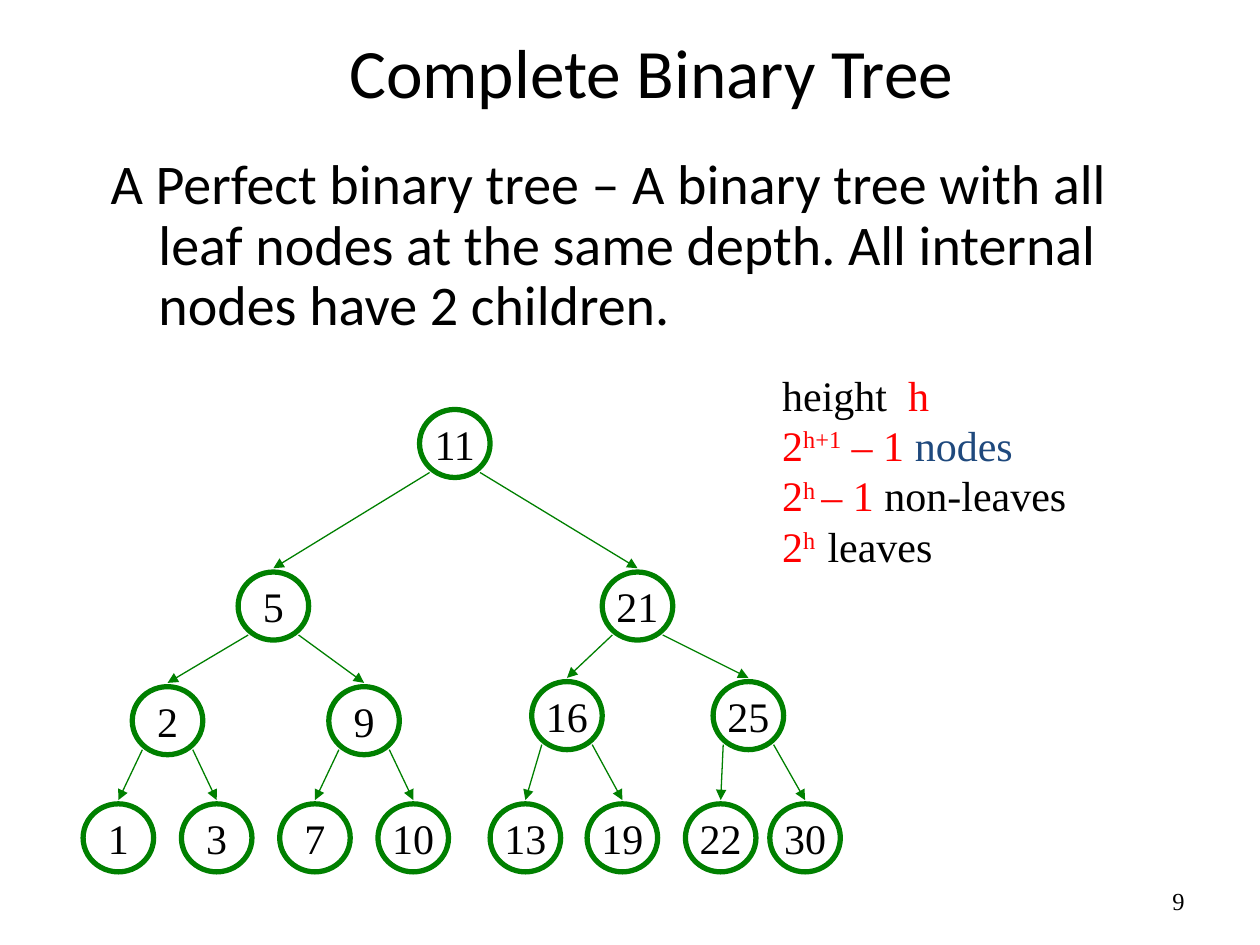
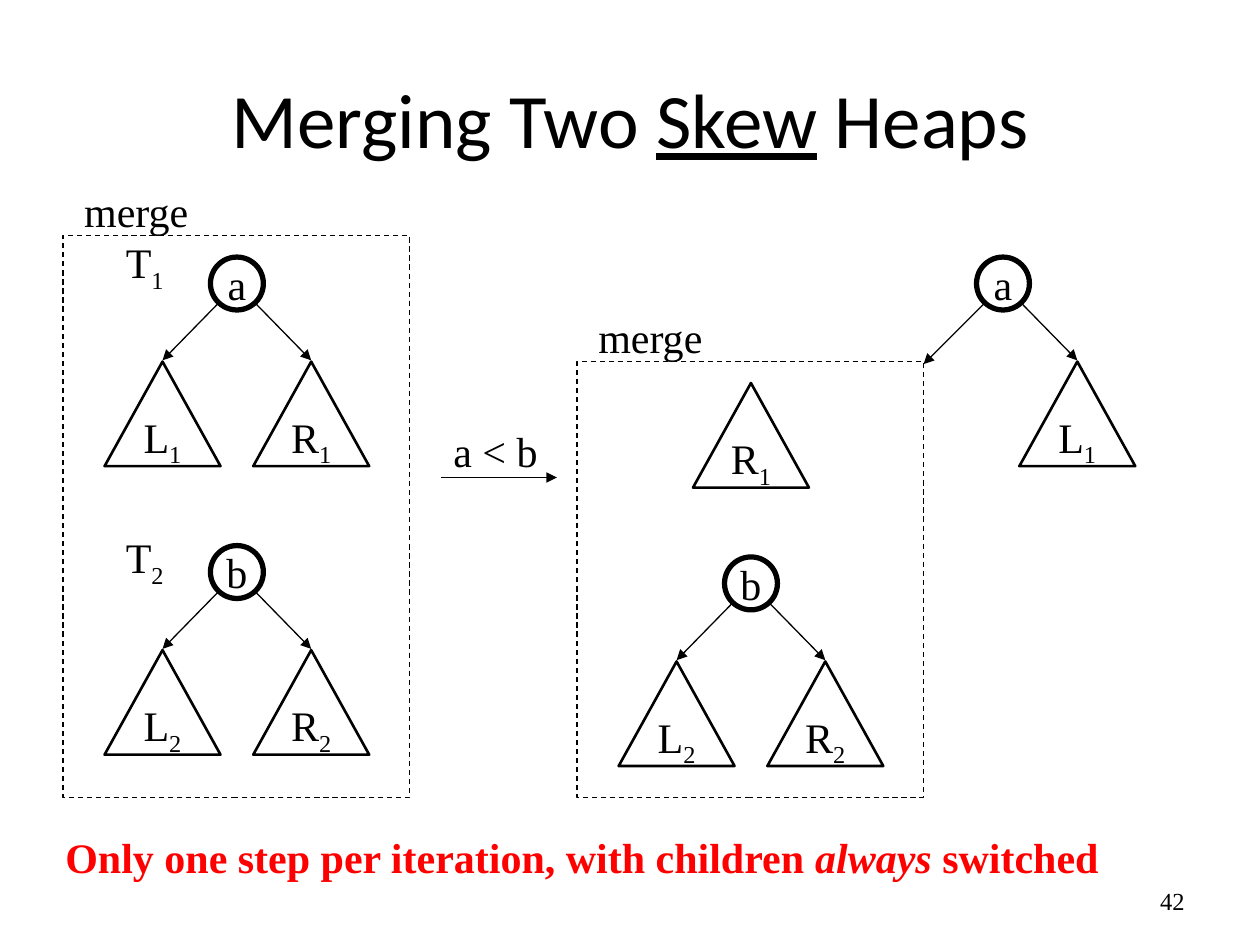
"""Build two slides on binary trees and the merging of skew heaps."""
import dataclasses

import lxml.etree
import pptx
import pptx.dml.color
import pptx.enum.dml
import pptx.enum.shapes
import pptx.enum.text
import pptx.oxml.ns
import pptx.util

Inches = pptx.util.Inches
Pt = pptx.util.Pt
RGB = pptx.dml.color.RGBColor
SHAPE = pptx.enum.shapes.MSO_SHAPE
ALIGN = pptx.enum.text.PP_ALIGN
ANCHOR = pptx.enum.text.MSO_ANCHOR


@dataclasses.dataclass(frozen=True)
class Theme:
    black: RGB = RGB(0, 0, 0)
    red: RGB = RGB(255, 0, 0)
    blue: RGB = RGB(0x1F, 0x49, 0x7D)
    green: RGB = RGB(0, 128, 0)
    sans: str = "Calibri"
    serif: str = "Times New Roman"
    page: float = 14
    label: float = 24
    body: float = 32
    thin: float = 0.75
    mid: float = 1.5
    thick: float = 3


T = Theme()
RED = {"color": T.red}
SUB = {"base": -25}
SUP = {"base": 30, "color": T.red}
BOLD = {"color": T.red, "bold": True}
CENTER = {"alignment": ALIGN.CENTER}

TREE_HEAD = [("Complete Binary Tree", {})]
RULE = [("A Perfect binary tree – A binary tree with all leaf nodes at the same depth. "
         "All internal nodes have 2 children.", {})]
FACTS = [
    [("height", {}), ("  h", RED)],
    [("2", RED), ("h+1", SUP), (" – 1 ", RED), ("nodes", {"color": T.blue})],
    [("2", RED), ("h ", SUP), ("– 1 ", RED), ("non-leaves", {})],
    [("2", RED), ("h  ", SUP), ("leaves", {})],
]
NODES = {
    11: (3.61, 3.25, (5, 21)),
    5: (2.17, 4.54, (2, 9)),
    21: (5.06, 4.54, (16, 25)),
    2: (1.33, 5.45, (1, 3)),
    9: (2.89, 5.45, (7, 10)),
    16: (4.5, 5.41, (13, 19)),
    25: (5.94, 5.41, (22, 30)),
}
LEAF_TOP = 6.38
LEAVES = {1: 0.94, 3: 1.72, 7: 2.5, 10: 3.28, 13: 4.17, 19: 4.94, 22: 5.72, 30: 6.39}

HEAP_HEAD = [("Merging Two ", {}), ("Skew", {"underline": True}), (" Heaps", {})]
HEAPS = [
    ("a", 1.88, 2.04, "L1", "R1"),
    ("b", 1.88, 4.33, "L2", "R2"),
    ("a", 7.96, 2.04, None, "L1"),
    ("b", 5.96, 4.42, "L2", "R2"),
]
LOOSE = ("R1", 5.96, 3.04)
FRAMES = [(0.5, 1.87, 2.75, 4.46), (4.58, 2.87, 2.75, 3.46)]
MARKS = [("T1", 0.9, 1.83), ("T2", 0.9, 4.17)]
STEP = [("a < b", {})]
MORAL = [
    ("Only one step per iteration, with children ", BOLD),
    ("always", {**BOLD, "italic": True}),
    (" switched", BOLD),
]


def put(item, values):
    for name, value in values.items():
        setattr(item, name, value)


def write(shape, rows, face=T.serif, size=T.label, para=None, **frame):
    box = shape.text_frame
    put(box, {"word_wrap": False, **frame})
    for spot, row in enumerate(rows):
        line = box.add_paragraph() if spot else box.paragraphs[0]
        put(line, para or {})
        for text, look in row:
            look = {"color": T.black, **look}
            run = line.add_run()
            run.text = text
            run.font.color.rgb = look.pop("color")
            base = look.pop("base", 0)
            put(run.font, {"name": face, "size": Pt(size), **look})
            if base:
                run._r.get_or_add_rPr().set("baseline", str(base * 1000))
    return box


def label(slide, area, rows, **look):
    return write(slide.shapes.add_textbox(*map(Inches, area)), rows, **look)


def outline(slide, kind, area, color, width):
    shape = slide.shapes.add_shape(kind, *map(Inches, area))
    shape.shadow.inherit = False
    shape.fill.background()
    shape.line.color.rgb = color
    shape.line.width = Pt(width)
    return shape


def node(slide, kind, mid, top, size, row, color, width):
    wide, high = size
    shape = outline(slide, kind, (mid - wide / 2, top, wide, high), color, width)
    write(shape, [row], para=CENTER, vertical_anchor=ANCHOR.MIDDLE)


def arrow(slide, start, end, color):
    line = slide.shapes.add_connector(
        pptx.enum.shapes.MSO_CONNECTOR.STRAIGHT, *map(Inches, (*start, *end)))
    line.line.color.rgb = color
    line.line.width = Pt(T.thin)
    qn = pptx.oxml.ns.qn
    lxml.etree.SubElement(line.line._get_or_add_ln(), qn("a:tailEnd"), type="triangle")
    lxml.etree.SubElement(line._element.spPr, qn("a:effectLst"))


def start(deck, head, area, size, page):
    slide = deck.slides.add_slide(deck.slide_layouts[6])
    label(slide, area, [head], face=T.sans, size=size, para=CENTER,
          word_wrap=True, vertical_anchor=ANCHOR.MIDDLE)
    label(slide, (7.17, 6.95, 2.33, 0.4), [[(page, {})]], size=T.page,
          para={"alignment": ALIGN.RIGHT}, word_wrap=True, vertical_anchor=ANCHOR.MIDDLE)
    return slide


def index(name):
    return [(name[0], {}), (name[1], SUB)]


def tree(deck):
    slide = start(deck, TREE_HEAD, (0.67, 0.19, 9, 0.75), 39.6, "9")
    body = label(slide, (0.78, 1.19, 8.5, 1.56), [RULE], face=T.sans, size=T.body,
                 para={"line_spacing": 0.9, "space_before": Pt(6.4)}, word_wrap=True)
    props = body.paragraphs[0]._p.get_or_add_pPr()
    props.set("marL", str(Inches(0.38)))
    props.set("indent", str(Inches(-0.38)))
    label(slide, (6.11, 2.88, 3.3, 1.27), FACTS, word_wrap=True)
    full = {**NODES, **{key: (mid, LEAF_TOP, ()) for key, mid in LEAVES.items()}}
    for key, (mid, top, kids) in full.items():
        node(slide, SHAPE.OVAL, mid, top, (0.56, 0.54), [(str(key), {})], T.green, T.thick)
        for side, kid in zip((-1, 1), kids):
            spot = full[kid]
            arrow(slide, (mid + side * 0.2, top + 0.5), (spot[0], spot[1] - 0.03), T.green)


def wedge(slide, name, mid, top):
    node(slide, SHAPE.ISOSCELES_TRIANGLE, mid, top, (0.92, 0.83), index(name), T.black, T.mid)


def heaps(deck):
    slide = start(deck, HEAP_HEAD, (0.75, 0.31, 8.5, 1.25), 44, "42")
    for area in FRAMES:
        frame = outline(slide, SHAPE.RECTANGLE, area, T.black, T.thin)
        frame.line.dash_style = pptx.enum.dml.MSO_LINE.DASH
        label(slide, (area[0] + 0.07, area[1] - 0.45, 1.03, 0.5), [[("merge", {})]])
    for root, mid, top, *kids in HEAPS:
        node(slide, SHAPE.OVAL, mid, top, (0.42, 0.42), [(root, {})], T.black, T.thick)
        for side, kid in zip((-1, 1), kids):
            end = (mid + side * 0.59, top + 0.82)
            if kid:
                wedge(slide, kid, end[0], top + 0.83)
            else:
                left, high, wide, _ = FRAMES[1]
                end = (left + wide, high + 0.02)
            arrow(slide, (mid + side * 0.15, top + 0.37), end, T.black)
    wedge(slide, *LOOSE)
    for name, left, top in MARKS:
        label(slide, (left, top, 0.52, 0.5), [index(name)])
    arrow(slide, (3.5, 3.79), (4.42, 3.79), T.black)
    label(slide, (3.5, 3.33, 0.87, 0.5), [STEP])
    label(slide, (0.42, 6.55, 8.41, 0.5), [MORAL])


def main():
    deck = pptx.Presentation()
    put(deck, {"slide_width": Inches(10), "slide_height": Inches(7.5)})
    tree(deck)
    heaps(deck)
    deck.save("out.pptx")


if __name__ == "__main__":
    main()
